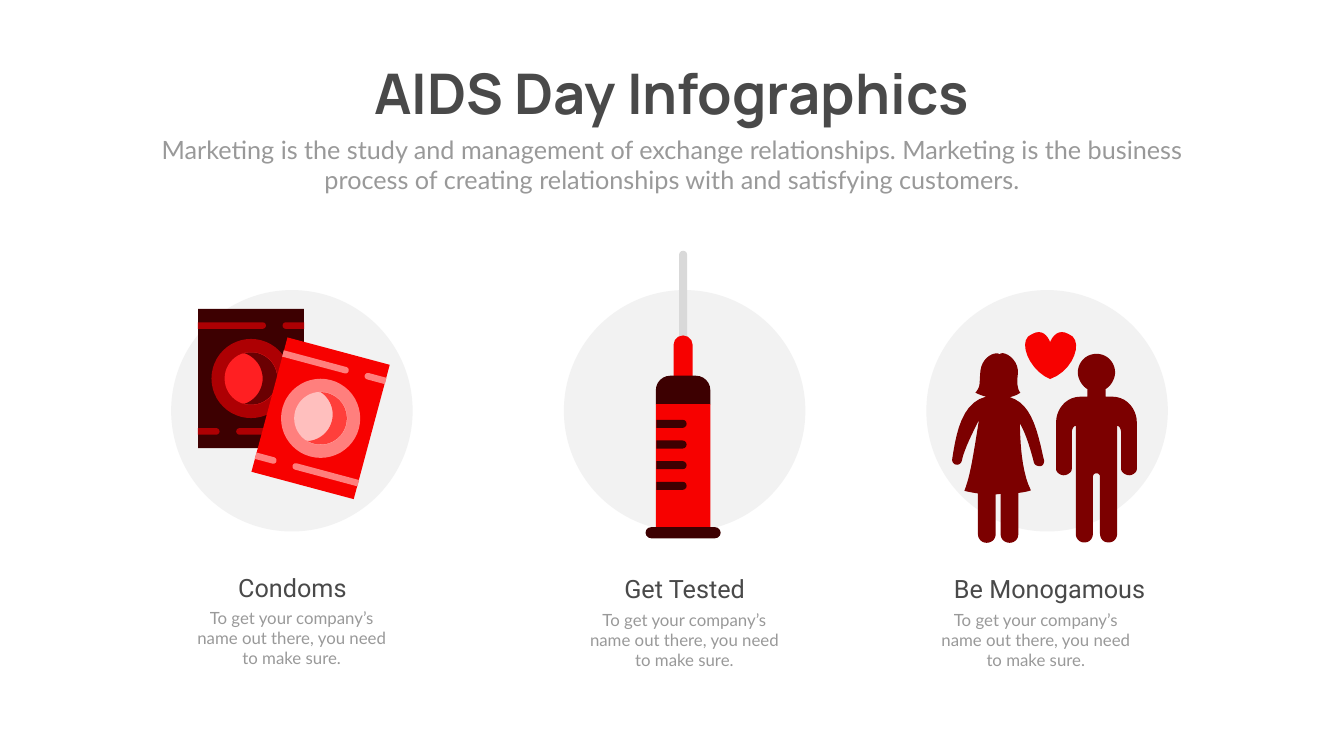
from dataclasses import dataclass
from math import cos, sin, radians

from pptx import Presentation
from pptx.dml.color import RGBColor as RGB
from pptx.enum.shapes import MSO_SHAPE as Kind
from pptx.enum.text import MSO_ANCHOR as Anchor, MSO_AUTO_SIZE as Fit, PP_ALIGN as Align
from pptx.util import Inches, Pt


@dataclass
class Theme:
    ink: str = "494949"
    gray: str = "999999"
    disc: str = "F2F2F2"
    steel: str = "D9D9D9"
    red: str = "F70100"
    dark: str = "3D0001"
    wine: str = "7C0000"
    big: int = 80
    mid: int = 36
    small: int = 24


look = Theme()
cell = Inches(1)  # the slide is a grid of square cells
cols, rows = 26.66, 15

deck = Presentation()
deck.slide_width, deck.slide_height = int(cols * cell), int(rows * cell)
slide = deck.slides.add_slide(deck.slide_layouts[0])
shapes = slide.shapes


def write(text, box, hold=None, font="Lato", size=look.small, color=look.gray, bold=False):
    """Put centred text in the placeholder hold, or in a new text box."""
    left, top, wide, high = (int(n * cell) for n in box)
    hold = hold or shapes.add_textbox(left, top, wide, high)
    hold.left, hold.top, hold.width, hold.height = left, top, wide, high
    frame = hold.text_frame
    frame.word_wrap, frame.auto_size = True, Fit.NONE
    frame.vertical_anchor = Anchor.TOP
    para = frame.paragraphs[0]
    para.alignment, para.space_before = Align.CENTER, Pt(0)
    run = para.add_run()
    run.text = text
    run.font.name, run.font.size, run.font.bold = font, Pt(size), bold
    run.font.color.rgb = RGB.from_string(color)


def draw(form, color, x=0, y=0, wide=0, high=0, turn=0, bend=()):
    """Draw a preset centred on x, y, or an outline when form is a list of points."""
    if isinstance(form, list):
        dots = [(a * cell, b * cell) for a, b in form]
        path = shapes.build_freeform(*dots[0])
        path.add_line_segments(dots[1:], close=True)
        shape = path.convert_to_shape()
    else:
        box = (x - wide / 2, y - high / 2, wide, high)
        shape = shapes.add_shape(form, *(int(n * cell) for n in box))
        for i, part in enumerate(bend):
            shape.adjustments[i] = part
    shape.rotation = turn
    shape.shadow.inherit = False
    shape.fill.solid()
    shape.fill.fore_color.rgb = RGB.from_string(color)
    shape.line.fill.background()


# Heading
write("AIDS Day Infographics", (6.83, 1.12, 12.99, 1.45), hold=shapes.title,
      font="Manrope", size=look.big, color=look.ink, bold=True)
write("Marketing is the study and management of exchange relationships. "
      "Marketing is the business process of creating relationships with and "
      "satisfying customers.", (2.92, 2.61, 20.82, 1.31),
      hold=slide.placeholders[1], size=look.mid)

# Discs and captions: disc centre, name, name centre, note centre, name top
for mid, name, head, note, top in (
    (5.79, "Condoms", 5.8, 5.79, 11.3),
    (13.58, "Get Tested", 13.58, 13.58, 11.33),
    (20.77, "Be Monogamous", 20.82, 20.55, 11.33),
):
    draw(Kind.OVAL, look.disc, mid, 8.15, 4.79, 4.79)
    write(name, (head - 2.21, top, 4.42, 0.71), font="Roboto",
          size=look.mid, color=look.ink)
    write("To get your company’s name out there, you need to make sure.",
          (note - 2.08, top + 0.71, 4.15, 1.31))

# Two packets of one design, the second tilted
for x, y, tilt, base, trim, core, shade in (
    (4.98, 7.51, 0, look.dark, "AD0003", "FF1F22", "6A0002"),
    (6.36, 8.3, 15, look.red, "FF7F7D", "FFBFBE", "FF3F3B"),
):
    c, s = cos(radians(tilt)), sin(radians(tilt))
    draw(Kind.RECTANGLE, base, x, y, 2.1, 2.76, tilt)
    for side in (1, -1):
        for across, size, turn in ((-0.38, 1.35, 90), (0.84, 0.43, -90)):
            a, b = side * across, side * -1.05
            draw(Kind.ROUND_2_SAME_RECTANGLE, trim, x + a * c - b * s,
                 y + a * s + b * c, 0.13, size, tilt + side * turn, (0.5, 0))
    draw(Kind.OVAL, trim, x, y, 1.57, 1.57)
    draw(Kind.OVAL, core, x, y, 1.05, 1.05)
    outer = [(0.52 * cos(radians(d)), 0.52 * sin(radians(d)))
             for d in range(-108, 109, 6)]
    inner = [(0.53 * cos(radians(d)) - 0.3, 0.53 * sin(radians(d)))
             for d in range(72, -73, -6)]
    draw([(x + a * c - b * s, y + a * s + b * c) for a, b in outer + inner], shade)

# Syringe
axis = 13.55
draw(Kind.ROUNDED_RECTANGLE, look.steel, axis, 6.1, 0.16, 2.25, bend=(0.5,))
draw(Kind.ROUNDED_RECTANGLE, look.red, axis, 7.4, 0.38, 1.49, bend=(0.5,))
draw(Kind.ROUND_2_SAME_RECTANGLE, look.dark, axis, 7.74, 1.08, 0.57, bend=(0.5, 0))
draw(Kind.RECTANGLE, look.red, axis, 9.29, 1.08, 2.54)
for i in range(4):
    draw(Kind.ROUND_2_SAME_RECTANGLE, look.dark, 13.32, 8.41 + 0.41 * i,
         0.16, 0.6, 90, (0.5, 0))
draw(Kind.ROUNDED_RECTANGLE, look.dark, axis, 10.57, 1.49, 0.22, bend=(0.5,))

# Couple and heart: a pair is a corner, six numbers are a curve
woman = [
    (20.71, 9.13), (20.69, 9.05), (20.55, 8.39, 20.41, 8, 20.03, 7.88),
    (20.17, 7.85, 20.24, 7.79, 20.24, 7.79), (20.24, 7.79, 20.15, 7.71, 20.19, 7.43),
    (20.23, 7.12, 19.89, 6.94, 19.83, 7.03), (19.75, 6.96, 19.48, 7.08, 19.45, 7.35),
    (19.42, 7.62, 19.46, 7.66, 19.35, 7.79), (19.35, 7.79, 19.43, 7.84, 19.56, 7.87),
    (19.08, 7.99, 18.97, 8.58, 18.89, 9.1), (18.88, 9.16, 18.91, 9.21, 18.97, 9.22),
    (19.02, 9.23, 19.07, 9.19, 19.08, 9.14), (19.13, 8.86, 19.46, 8.27, 19.42, 8.33),
    (19.27, 9.28, 19.23, 9.47, 19.13, 9.74), (19.22, 9.76, 19.31, 9.78, 19.4, 9.79),
    (19.4, 10.6), (19.4, 10.7, 19.48, 10.77, 19.57, 10.77),
    (19.67, 10.77, 19.75, 10.7, 19.75, 10.6), (19.75, 9.81), (19.85, 9.8),
    (19.85, 10.6), (19.85, 10.7, 19.93, 10.77, 20.03, 10.77),
    (20.12, 10.77, 20.2, 10.7, 20.2, 10.6), (20.2, 9.78),
    (20.3, 9.77, 20.39, 9.75, 20.45, 9.73), (20.26, 9.35, 20.24, 8.78, 20.23, 8.4),
    (20.32, 8.55, 20.4, 8.77, 20.49, 9.1), (20.51, 9.18),
    (20.53, 9.23, 20.57, 9.25, 20.64, 9.25), (20.69, 9.24, 20.72, 9.18, 20.71, 9.13),
]
man = [  # right half, mirrored below
    (21.75, 7.02), (21.97, 7.02, 22.12, 7.2, 22.12, 7.39),
    (22.12, 7.51, 22.04, 7.66, 21.93, 7.72), (21.93, 7.87), (22.06, 7.87),
    (22.38, 7.87, 22.55, 8.15, 22.55, 8.37), (22.55, 9.31),
    (22.55, 9.37, 22.47, 9.43, 22.4, 9.43), (22.33, 9.43, 22.24, 9.37, 22.24, 9.31),
    (22.24, 8.6), (22.24, 8.52, 22.21, 8.45, 22.16, 8.45), (22.16, 10.59),
    (22.16, 10.7, 22.07, 10.78, 21.96, 10.76), (21.87, 10.75, 21.82, 10.67, 21.82, 10.58),
    (21.82, 9.46), (21.82, 9.42, 21.79, 9.39, 21.75, 9.39),
]
heart = [
    (20.83, 7.52), (21.3, 7.36, 21.51, 6.74, 21.2, 6.63),
    (20.94, 6.48, 20.83, 6.79, 20.83, 6.79), (20.83, 6.79, 20.73, 6.48, 20.47, 6.63),
    (20.16, 6.74, 20.42, 7.36, 20.83, 7.52),
]
for parts, color in ((woman, look.wine), (man, look.wine), (heart, look.red)):
    dots = []
    for part in parts:
        if len(part) == 2:
            dots.append(part)
            continue
        knots = [dots[-1], part[:2], part[2:4], part[4:]]
        for t in (i / 10 for i in range(1, 11)):
            mix = ((1 - t) ** 3, 3 * t * (1 - t) ** 2, 3 * t * t * (1 - t), t ** 3)
            dots.append(tuple(sum(m * k[n] for m, k in zip(mix, knots)) for n in (0, 1)))
    if parts is man:
        dots += [(2 * 21.75 - a, b) for a, b in reversed(dots)]
    draw(dots, color)

deck.save("out.pptx")
